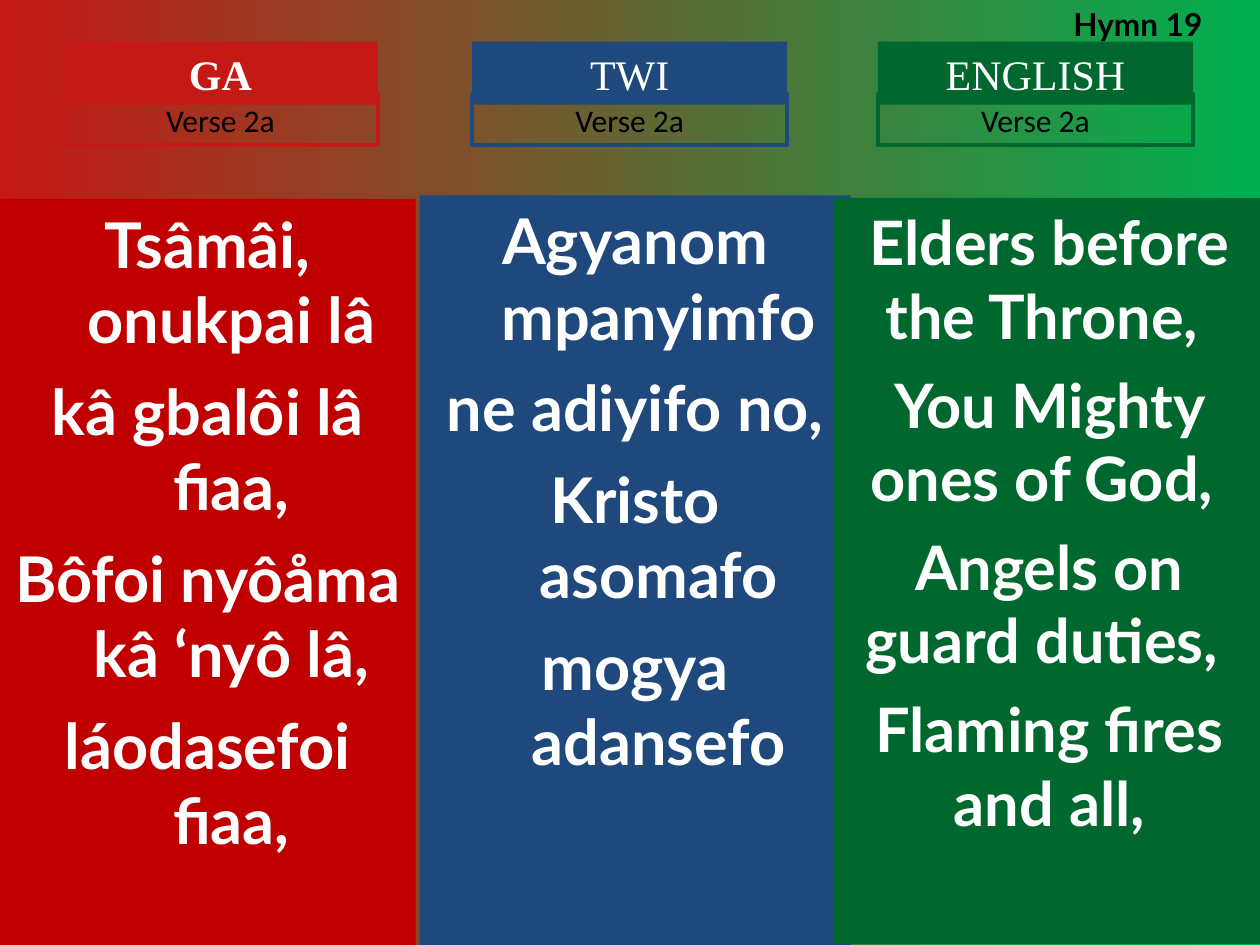
from dataclasses import dataclass

from pptx import Presentation
from pptx.dml.color import RGBColor
from pptx.enum.shapes import MSO_SHAPE
from pptx.enum.text import MSO_ANCHOR, MSO_AUTO_SIZE, PP_ALIGN
from pptx.util import Cm, Pt

RECTANGLE = MSO_SHAPE.RECTANGLE
TOP = MSO_ANCHOR.TOP
NO_AUTOFIT = MSO_AUTO_SIZE.NONE
CENTER, LEFT = PP_ALIGN.CENTER, PP_ALIGN.LEFT

COLORS = {
    "red": "C51915",
    "dark red": "C00000",
    "blue": "1F497D",
    "green": "00682F",
    "bright green": "00B050",
    "white": "FFFFFF",
    "black": "000000",
}


@dataclass
class Box:
    left: float
    top: float
    width: float
    height: float


@dataclass
class TextStyle:
    font: str
    size: float
    color: str
    bold: bool = False
    alignment: PP_ALIGN = CENTER
    space_before: float = 0
    hanging: float = 0


@dataclass
class Column:
    language: str
    header_left: float
    header_color: str
    header_bold: bool
    panel: Box
    panel_color: str
    lyrics: list[str]
    lyric_style: TextStyle


HANGING_LYRICS = TextStyle("Lato", 36, "white", True, space_before=9, hanging=0.95)
PLAIN_LYRICS = TextStyle("Lato", 35, "white", True, space_before=8.8)
VERSE_STYLE = TextStyle("Calibri", 18, "black")
HYMN_STYLE = TextStyle("Lato", 18, "black", True, LEFT)

COLUMNS = [
    Column("GA", 1.27, "red", True, Box(0, 4.01, 8.38, 15.04), "dark red",
           ["Tsâmâi, onukpai lâ", "kâ gbalôi lâ fiaa,",
            "Bôfoi nyôåma kâ ‘nyô lâ,", "láodasefoi fiaa,"], HANGING_LYRICS),
    Column("TWI", 9.52, "blue", False, Box(8.46, 3.94, 8.69, 15.11), "blue",
           ["Agyanom mpanyimfo", "ne adiyifo no,",
            "Kristo asomafo", "mogya adansefo"], HANGING_LYRICS),
    Column("ENGLISH", 17.7, "green", False, Box(16.81, 3.99, 8.69, 15.04), "green",
           ["Elders before the Throne, ", "You Mighty ones of God, ",
            "Angels on guard duties, ", "Flaming fires and all,"], PLAIN_LYRICS),
]


def color(name: str) -> RGBColor:
    return RGBColor.from_string(COLORS[name])


def write(shape, lines: list[str], style: TextStyle) -> None:
    frame = shape.text_frame
    frame.text = "\n".join(lines)
    frame.word_wrap = True
    frame.auto_size = NO_AUTOFIT
    frame.vertical_anchor = TOP
    frame.margin_left = frame.margin_right = Cm(0.25)
    frame.margin_top = frame.margin_bottom = Cm(0.13)
    for index, paragraph in enumerate(frame.paragraphs):
        paragraph.alignment = style.alignment
        paragraph.space_before = Pt(style.space_before if index else 0)
        if style.hanging:
            properties = paragraph._p.get_or_add_pPr()
            properties.set("marL", str(Cm(style.hanging)))
            properties.set("indent", str(-Cm(style.hanging)))
        for run in paragraph.runs:
            run.font.name = style.font
            run.font.size = Pt(style.size)
            run.font.bold = style.bold
            run.font.color.rgb = color(style.color)


def add_box(slide, box: Box, lines: list[str], style: TextStyle,
            fill: str | None = None, line: str | None = None) -> None:
    shape = slide.shapes.add_shape(
        RECTANGLE, Cm(box.left), Cm(box.top), Cm(box.width), Cm(box.height))
    shape.shadow.inherit = False
    if fill:
        shape.fill.solid()
        shape.fill.fore_color.rgb = color(fill)
    else:
        shape.fill.background()
    if line:
        shape.line.color.rgb = color(line)
        shape.line.width = Pt(2.25)
    else:
        shape.line.fill.background()
    write(shape, lines, style)


def add_column(slide, column: Column) -> None:
    add_box(slide, column.panel, column.lyrics, column.lyric_style,
            fill=column.panel_color)
    add_box(slide, Box(column.header_left, 0.84, 6.35, 1.27), [column.language],
            TextStyle("Times New Roman", 24, "white", column.header_bold),
            fill=column.header_color)
    add_box(slide, Box(column.header_left, 1.9, 6.35, 1.03), ["Verse 2a"],
            VERSE_STYLE, line=column.header_color)


def main() -> None:
    presentation = Presentation()
    presentation.slide_width, presentation.slide_height = Cm(25.4), Cm(19.05)
    slide = presentation.slides.add_slide(presentation.slide_layouts[5])

    # Background running from red to green
    background = slide.background.fill
    background.gradient()
    background.gradient_angle = 0
    for stop, name in zip(background.gradient_stops, ("red", "bright green")):
        stop.color.rgb = color(name)

    # One column per language
    for column in COLUMNS:
        add_column(slide, column)

    # Hymn number, in front of the columns
    title = slide.shapes.title
    title.left, title.top = Cm(21.39), Cm(-0.03)
    title.width, title.height = Cm(3.81), Cm(1.03)
    write(title, ["Hymn 19"], HYMN_STYLE)
    slide.shapes._spTree.append(title._element)

    presentation.save("out.pptx")


if __name__ == "__main__":
    main()
